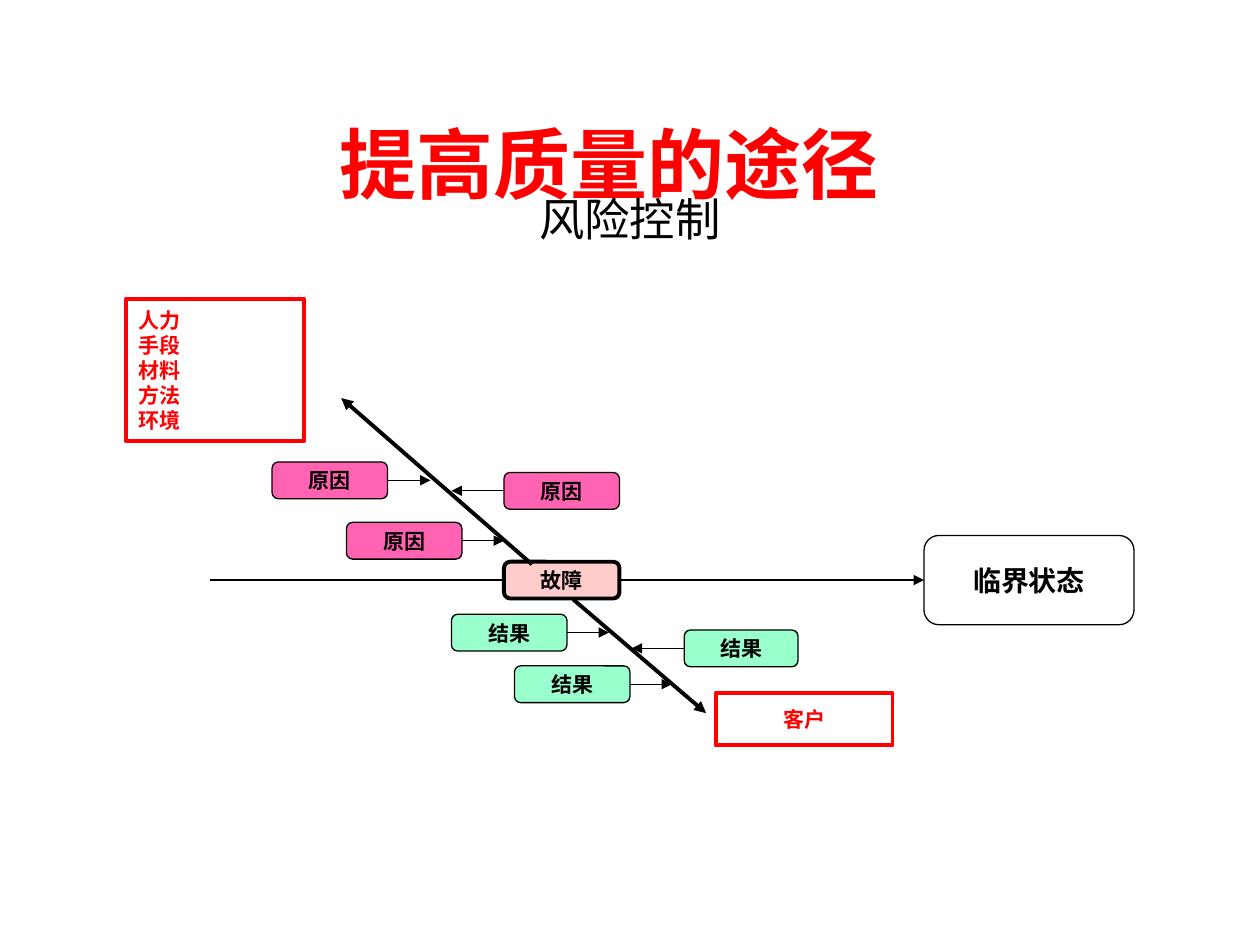
from dataclasses import dataclass

import pptx
import pptx.dml.color
import pptx.enum.shapes
import pptx.enum.text
import pptx.oxml
import pptx.oxml.ns
import pptx.util
from pptx.dml.color import RGBColor
from pptx.enum.shapes import MSO_CONNECTOR, MSO_SHAPE
from pptx.enum.text import MSO_ANCHOR, PP_ALIGN
from pptx.util import Pt

BLACK = RGBColor(0x00, 0x00, 0x00)
WHITE = RGBColor(0xFF, 0xFF, 0xFF)
RED = RGBColor(0xFF, 0x00, 0x00)
PINK = RGBColor(0xFF, 0x63, 0xB1)
MINT = RGBColor(0x99, 0xFF, 0xCC)
ROSE = RGBColor(0xFF, 0xCC, 0xCC)

THIN, THICK = 0.75, 2.25
FACTOR_WIDTH, FACTOR_HEIGHT = 66, 21
AXIS_Y = 331.5


@dataclass(frozen=True)
class Box:
    left: float
    top: float
    width: float
    height: float


@dataclass(frozen=True)
class Factor:
    """A cause or result whose arrow ends on a diagonal at tip_x."""
    label: str
    left: float
    top: float
    tip_x: float
    fill: RGBColor
    width: float = FACTOR_WIDTH


FACTORS = [
    Factor("原因", 155.5, 264, 246, PINK),
    Factor("原因", 288, 270, 258, PINK),
    Factor("原因", 198, 298.5, 288, PINK),
    Factor("结果", 258, 351, 348, MINT),
    Factor("结果", 294, 380.5, 384, MINT),
    Factor("结果", 391, 360, 361, MINT, width=65),
]


def write_text(shape, *lines: str, size: float = 12, color: RGBColor = BLACK,
               font: str = "Arial", bold: bool = True,
               align: PP_ALIGN = PP_ALIGN.CENTER,
               anchor: MSO_ANCHOR = MSO_ANCHOR.MIDDLE,
               line_spacing: float = 1.0, space_before: float = 0) -> None:
    frame = shape.text_frame
    frame.word_wrap = True
    frame.vertical_anchor = anchor
    for index, line in enumerate(lines):
        paragraph = frame.add_paragraph() if index else frame.paragraphs[0]
        paragraph.alignment = align
        paragraph.line_spacing = line_spacing
        paragraph.space_before = Pt(space_before)
        run = paragraph.add_run()
        run.text = line
        run.font.size = Pt(size)
        run.font.name = font
        run.font.bold = bold
        run.font.color.rgb = color


def add_heading(slide, box: Box, text: str, **text_format) -> None:
    heading = slide.shapes.add_textbox(
        Pt(box.left), Pt(box.top), Pt(box.width), Pt(box.height))
    write_text(heading, text, **text_format)


def add_box(slide, box: Box, *lines: str, fill: RGBColor | None = WHITE,
            outline: RGBColor = BLACK, weight: float = THIN,
            kind: MSO_SHAPE = MSO_SHAPE.ROUNDED_RECTANGLE, **text_format) -> None:
    shape = slide.shapes.add_shape(
        kind, Pt(box.left), Pt(box.top), Pt(box.width), Pt(box.height))
    shape.shadow.inherit = False
    if fill is None:
        shape.fill.background()
    else:
        shape.fill.solid()
        shape.fill.fore_color.rgb = fill
    shape.line.color.rgb = outline
    shape.line.width = Pt(weight)
    write_text(shape, *lines, **text_format)


def add_arrow(slide, start: tuple[float, float], end: tuple[float, float],
              weight: float = THIN) -> None:
    arrow = slide.shapes.add_connector(
        MSO_CONNECTOR.STRAIGHT, *(Pt(value) for value in start + end))
    arrow.line.color.rgb = BLACK
    arrow.line.width = Pt(weight)
    head = pptx.oxml.parse_xml(
        f'<a:tailEnd {pptx.oxml.ns.nsdecls("a")} type="triangle"/>')
    arrow.line._get_or_add_ln().append(head)
    no_effects = pptx.oxml.parse_xml(
        f'<a:effectLst {pptx.oxml.ns.nsdecls("a")}/>')
    arrow._element.spPr.append(no_effects)


def add_factor(slide, factor: Factor) -> None:
    add_box(slide, Box(factor.left, factor.top, factor.width, FACTOR_HEIGHT),
            factor.label, fill=factor.fill)
    points_right = factor.tip_x > factor.left
    edge_x = factor.left + (factor.width if points_right else 0)
    middle_y = factor.top + FACTOR_HEIGHT / 2
    add_arrow(slide, (edge_x, middle_y), (factor.tip_x, middle_y))


def main() -> None:
    deck = pptx.Presentation()
    deck.slide_width, deck.slide_height = Pt(720), Pt(540)
    slide = deck.slides.add_slide(deck.slide_layouts[6])

    add_heading(slide, Box(42, 48, 612, 90), "提高质量的途径",
                size=44, color=RED, font="Lato")
    add_heading(slide, Box(54, 114, 612, 30), "风险控制", size=25.9, bold=False,
                anchor=MSO_ANCHOR.TOP, line_spacing=0.7, space_before=7)

    add_box(slide, Box(528, 306, 120, 51), "临界状态", size=16)
    add_arrow(slide, (120, AXIS_Y), (528, AXIS_Y))
    add_box(slide, Box(288, AXIS_Y - FACTOR_HEIGHT / 2, FACTOR_WIDTH, FACTOR_HEIGHT),
            "故障", fill=ROSE, weight=THICK)

    for factor in FACTORS:
        add_factor(slide, factor)
    add_arrow(slide, (304, 322.5), (195, 227.5), weight=THICK)
    add_arrow(slide, (327.5, 342.5), (403.5, 407.5), weight=THICK)

    red_frame = dict(kind=MSO_SHAPE.RECTANGLE, outline=RED, weight=THICK, color=RED)
    add_box(slide, Box(409, 396, 101, 30), "客户", **red_frame)
    add_box(slide, Box(72, 171, 102, 81), "人力", "手段", "材料", "方法", "环境",
            fill=None, align=PP_ALIGN.LEFT, **red_frame)

    deck.save("out.pptx")


if __name__ == "__main__":
    main()
